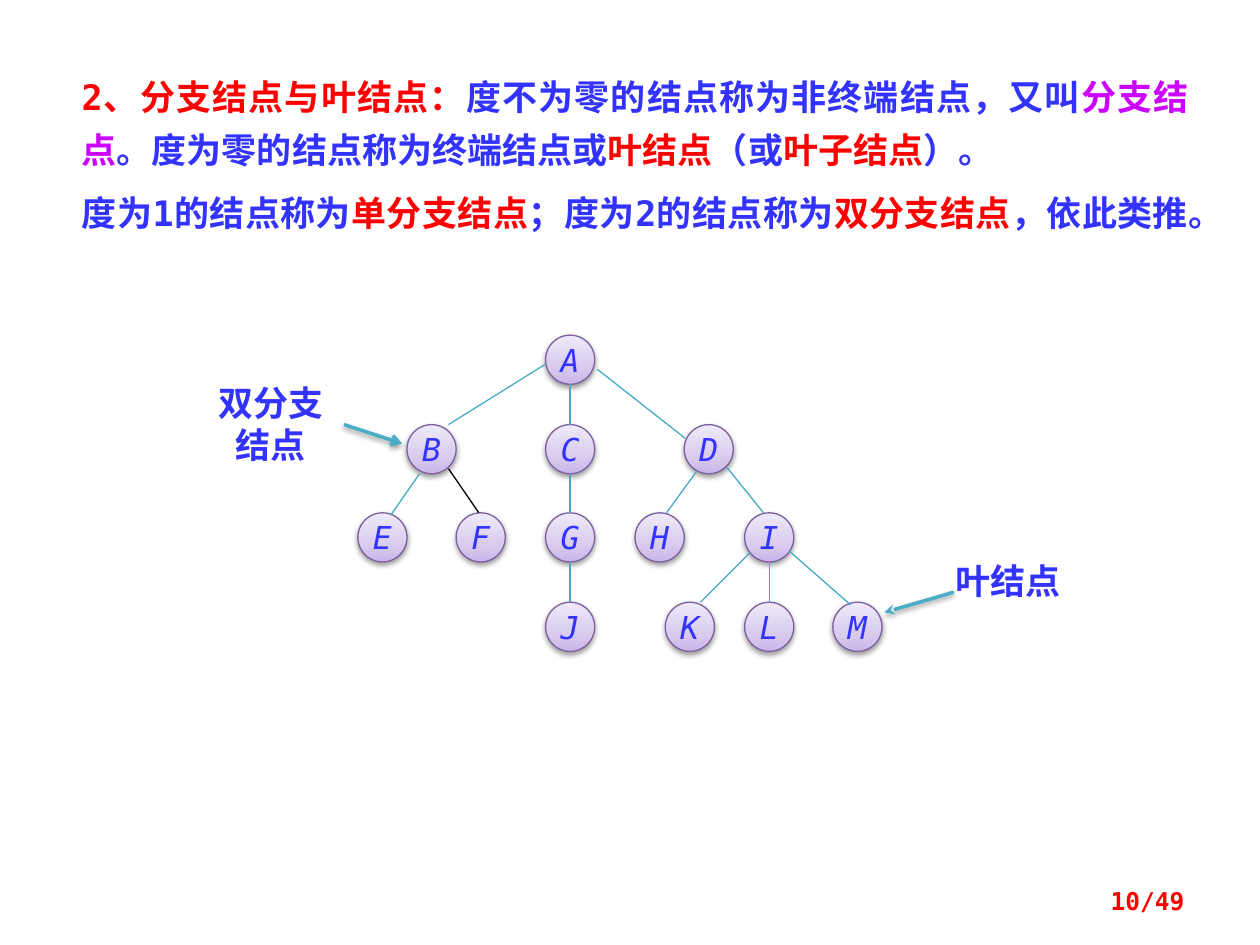
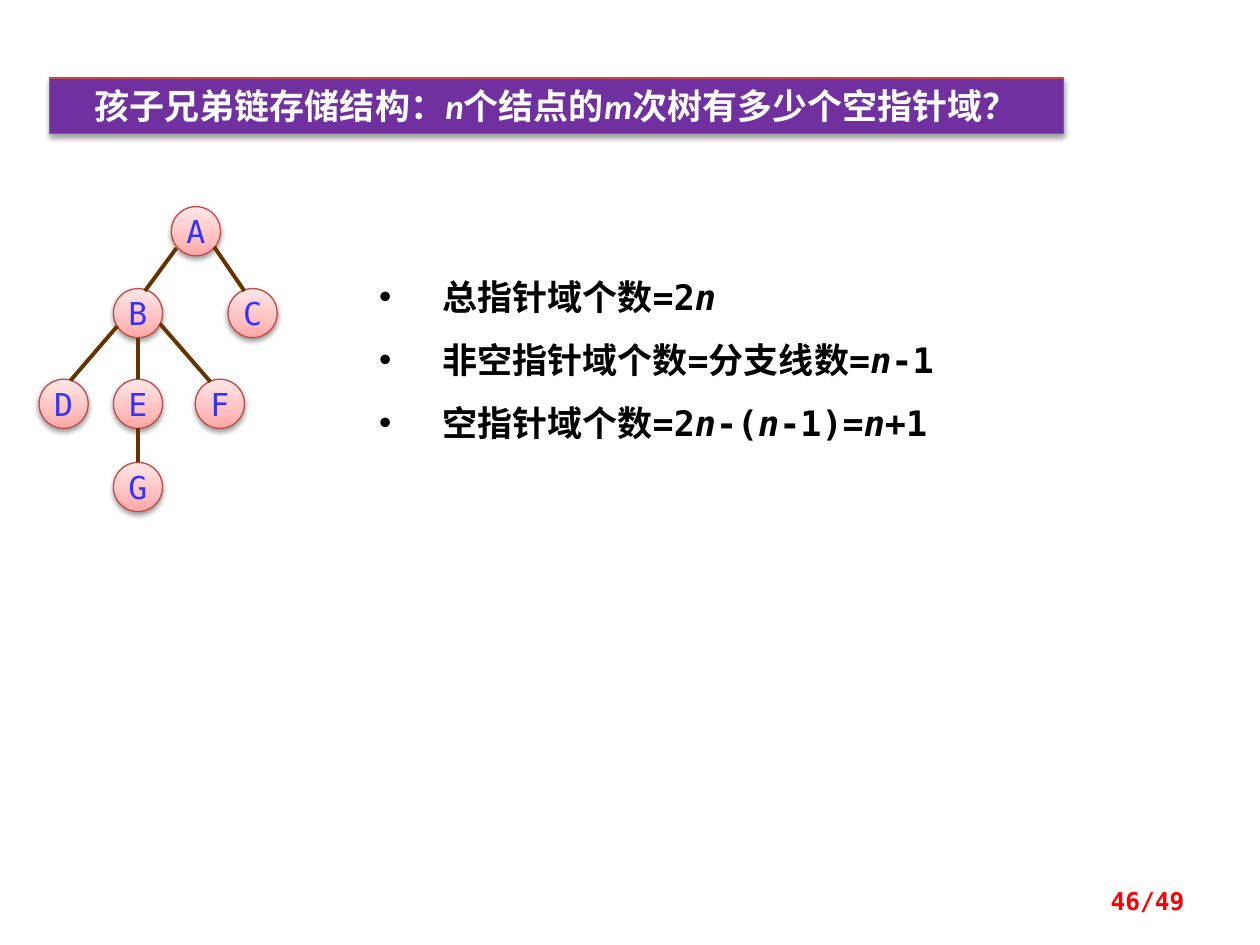
"""Build two lecture slides on tree nodes and on child-sibling links."""
from copy import deepcopy
from dataclasses import dataclass

from lxml.etree import SubElement
from pptx import Presentation
from pptx.dml.color import RGBColor
from pptx.enum.shapes import MSO_CONNECTOR, MSO_SHAPE
from pptx.enum.text import MSO_ANCHOR, MSO_AUTO_SIZE, PP_ALIGN
from pptx.oxml.ns import qn
from pptx.util import Inches, Pt


@dataclass(frozen=True)
class Theme:
    mono: str = "DejaVu Sans Mono"
    sans: str = "Calibri"
    blue: str = "3333FF"
    red: str = "FF0000"
    magenta: str = "CC00FF"
    purple: str = "7030A0"
    white: str = "FFFFFF"
    black: str = "000000"
    teal: str = "46AAC5"
    arrow: str = "4BACC6"
    brown: str = "663300"
    brick: str = "BF4C48"
    violet: str = "7D60A0"
    lilac: tuple = ((0, "C9B5E8"), (0.35, "D8CBEE"), (1, "F0EAF9"))
    pink: tuple = ((0, "FFA6A5"), (0.35, "FFC0BF"), (1, "FFE7E7"))
    body_size: int = 20
    node_size: int = 18
    footer_size: int = 14
    thin: float = 0.75


THEME = Theme()
NODE_DIAMETER = 0.39
RED = {"color": THEME.red}
MAGENTA = {"color": THEME.magenta}
ITALIC = {"italic": True}
N = ("n", ITALIC)

DEFINITIONS = [
    [("2、分支结点与叶结点：", RED), "度不为零的结点称为非终端结点，又叫",
     ("分支结点", MAGENTA), "。度为零的结点称为终端结点或", ("叶结点", RED),
     "（或", ("叶子结点", RED), "）。"],
    ["度为1的结点称为", ("单分支结点", RED), "；度为2的结点称为",
     ("双分支结点", RED), "，依此类推。"],
]
CALLOUTS = [
    {"label": "叶结点", "box": (7.41, 4.39, 1.18, 0.44),
     "start": (7.57, 4.7), "end": (7.02, 4.86), "head": "stealth"},
    {"label": "双分支结点", "box": (1.56, 2.98, 1.18, 0.77),
     "start": (2.73, 3.37), "end": (3.19, 3.52), "head": "arrow"},
]
DEGREE_TREE = {
    "rows": [
        (2.66, {"A": 4.33}),
        (3.37, {"B": 3.23, "C": 4.33, "D": 5.43}),
        (4.07, {"E": 2.84, "F": 3.62, "G": 4.33, "H": 5.04, "I": 5.91}),
        (4.78, {"J": 4.33, "K": 5.28, "L": 5.91, "M": 6.61}),
    ],
    "upright": ["AC", "CG", "GJ", "IL"],
    "slanted": {
        "AB": ((4.33, 2.89), (3.56, 3.37)),
        "AD": ((4.74, 2.93), (5.44, 3.48)),
        "BE": ((3.33, 3.76), (3.1, 4.09)),
        "BF": ((3.56, 3.72), (3.8, 4.07)),
        "DH": ((5.53, 3.74), (5.29, 4.07)),
        "DI": ((5.77, 3.71), (6.06, 4.07)),
        "IK": ((5.95, 4.39), (5.56, 4.78)),
        "IM": ((6.26, 4.37), (6.75, 4.8)),
    },
    "branch_colors": {"BF": THEME.black},
    "branch": (THEME.teal, THEME.thin),
    "gradient": THEME.lilac, "outline": THEME.violet, "italic": True,
}

QUESTION = ["孩子兄弟链存储结构：", N, "个结点的", ("m", ITALIC),
            "次树有多少个空指针域？"]
POINTER_COUNTS = [
    ["总指针域个数=2", N],
    ["非空指针域个数=分支线数=", N, "-1"],
    ["空指针域个数=2", N, "-(", N, "-1)=", N, "+1"],
]
POINTER_TREE = {
    "rows": [
        (1.64, {"A": 1.36}),
        (2.29, {"B": 0.9, "C": 1.81}),
        (3.01, {"D": 0.31, "E": 0.9, "F": 1.55}),
        (3.67, {"G": 0.9}),
    ],
    "upright": ["BE", "EG"],
    "slanted": {
        "AB": ((1.4, 1.97), (1.15, 2.31)),
        "AC": ((1.7, 1.96), (1.94, 2.31)),
        "BD": ((0.93, 2.59), (0.56, 3.02)),
        "BF": ((1.27, 2.57), (1.67, 3.03)),
    },
    "branch_colors": {},
    "branch": (THEME.brown, 2.25),
    "gradient": THEME.pink, "outline": THEME.brick, "italic": False,
}


def rgb(color):
    return RGBColor.from_string(color)


def add_shadow(effects):
    shadow = SubElement(effects, qn("a:outerShdw"), blurRad=str(Pt(3.1)),
                        dist=str(Pt(1.6)), dir="5400000", rotWithShape="0")
    tint = SubElement(shadow, qn("a:srgbClr"), val=THEME.black)
    SubElement(tint, qn("a:alpha"), val="38000")


def add_bullet(paragraph):
    properties = paragraph._p.get_or_add_pPr()
    properties.set("marL", str(Inches(0.5)))
    properties.set("indent", str(-Inches(0.5)))
    SubElement(properties, qn("a:buFont"), typeface="Arial")
    SubElement(properties, qn("a:buChar"), char="•")


def write_text(shape, paragraphs, *, size=THEME.body_size, font=THEME.mono,
               color=THEME.blue, bold=True, italic=False, align=PP_ALIGN.LEFT,
               anchor=MSO_ANCHOR.TOP, wrap=True, grow=False, spacing=None,
               gap=0, bullets=False):
    frame = shape.text_frame
    frame.word_wrap = wrap
    frame.vertical_anchor = anchor
    frame.auto_size = MSO_AUTO_SIZE.SHAPE_TO_FIT_TEXT if grow else MSO_AUTO_SIZE.NONE
    for index, pieces in enumerate(paragraphs):
        paragraph = frame.add_paragraph() if index else frame.paragraphs[0]
        paragraph.alignment = align
        if spacing:
            paragraph.line_spacing = spacing
        if index and gap:
            paragraph.space_before = Pt(gap)
        if bullets:
            add_bullet(paragraph)
        for piece in pieces:
            words, accent = (piece, {}) if isinstance(piece, str) else piece
            run = paragraph.add_run()
            run.text = words
            run.font.name = font
            run.font.size = Pt(size)
            run.font.bold = bold
            run.font.italic = accent.get("italic", italic)
            run.font.color.rgb = rgb(accent.get("color", color))


def add_text_box(slide, box, paragraphs, **text_format):
    area = slide.shapes.add_textbox(*map(Inches, box))
    write_text(area, paragraphs, **text_format)


def add_panel(slide, kind, box, fill=None, gradient=None, outline=None):
    panel = slide.shapes.add_shape(kind, *map(Inches, box))
    panel.shadow.inherit = False
    if gradient:
        panel.fill.gradient()
        panel.fill.gradient_angle = 90
        stops = panel._element.spPr.find(".//" + qn("a:gsLst"))
        stops.append(deepcopy(stops[0]))
        for stop, (position, color) in zip(panel.fill.gradient_stops, gradient):
            stop.position = position
            stop.color.rgb = rgb(color)
    else:
        panel.fill.solid()
        panel.fill.fore_color.rgb = rgb(fill)
    if outline:
        panel.line.color.rgb = rgb(outline)
        panel.line.width = Pt(THEME.thin)
        add_shadow(panel._element.spPr.find(qn("a:effectLst")))
    else:
        panel.line.fill.background()
    return panel


def add_line(slide, start, end, color, width, head=None):
    line = slide.shapes.add_connector(
        MSO_CONNECTOR.STRAIGHT, *map(Inches, (*start, *end)))
    line.line.color.rgb = rgb(color)
    line.line.width = Pt(width)
    effects = SubElement(line._element.spPr, qn("a:effectLst"))
    if head:
        SubElement(line.line._get_or_add_ln(), qn("a:tailEnd"), type=head)
        add_shadow(effects)


def add_tree(slide, tree):
    corners = {}
    for top, row in tree["rows"]:
        for letter, left in row.items():
            corners[letter] = (left, top)
            node = add_panel(slide, MSO_SHAPE.OVAL,
                             (left, top, NODE_DIAMETER, NODE_DIAMETER),
                             gradient=tree["gradient"], outline=tree["outline"])
            write_text(node, [[letter]], size=THEME.node_size, bold=False,
                       italic=tree["italic"], align=PP_ALIGN.CENTER,
                       anchor=MSO_ANCHOR.MIDDLE, wrap=False)
    branches = dict(tree["slanted"])
    for parent, child in tree["upright"]:
        left, top = corners[parent]
        center = left + NODE_DIAMETER / 2
        branches[parent + child] = ((center, top + NODE_DIAMETER),
                                    (center, corners[child][1]))
    color, width = tree["branch"]
    for pair, (start, end) in branches.items():
        add_line(slide, start, end, tree["branch_colors"].get(pair, color), width)


def add_slide(deck, page):
    slide = deck.slides.add_slide(deck.slide_layouts[6])
    add_text_box(slide, (7.17, 6.95, 2.33, 0.4), [[page]],
                 size=THEME.footer_size, color=THEME.red,
                 align=PP_ALIGN.RIGHT, anchor=MSO_ANCHOR.MIDDLE)
    return slide


def build_definitions(deck):
    slide = add_slide(deck, "10/49")
    add_text_box(slide, (0.55, 0.47, 8.98, 1.4), DEFINITIONS, grow=True,
                 align=PP_ALIGN.JUSTIFY, spacing=Pt(30), gap=6)
    for callout in CALLOUTS:
        add_line(slide, callout["start"], callout["end"], THEME.arrow, 2,
                 callout["head"])
        add_text_box(slide, callout["box"], [[callout["label"]]],
                     align=PP_ALIGN.CENTER, grow=True)
    add_tree(slide, DEGREE_TREE)


def build_pointer_counts(deck):
    slide = add_slide(deck, "46/49")
    banner = add_panel(slide, MSO_SHAPE.RECTANGLE, (0.39, 0.62, 8.05, 0.44),
                       fill=THEME.purple, outline=THEME.brick)
    write_text(banner, [QUESTION], font=THEME.sans, color=THEME.white,
               align=PP_ALIGN.CENTER, grow=True)
    answer = add_panel(slide, MSO_SHAPE.RECTANGLE, (2.81, 1.9, 5.31, 1.69),
                       fill=THEME.white)
    answer.text_frame.margin_left = Inches(0.2)
    answer.text_frame.margin_top = answer.text_frame.margin_bottom = Inches(0.12)
    write_text(answer, POINTER_COUNTS, color=THEME.black, spacing=1.5,
               bullets=True, grow=True)
    add_tree(slide, POINTER_TREE)


def main():
    deck = Presentation()
    deck.slide_width, deck.slide_height = Inches(10), Inches(7.5)
    build_definitions(deck)
    build_pointer_counts(deck)
    deck.save("out.pptx")


if __name__ == "__main__":
    main()
